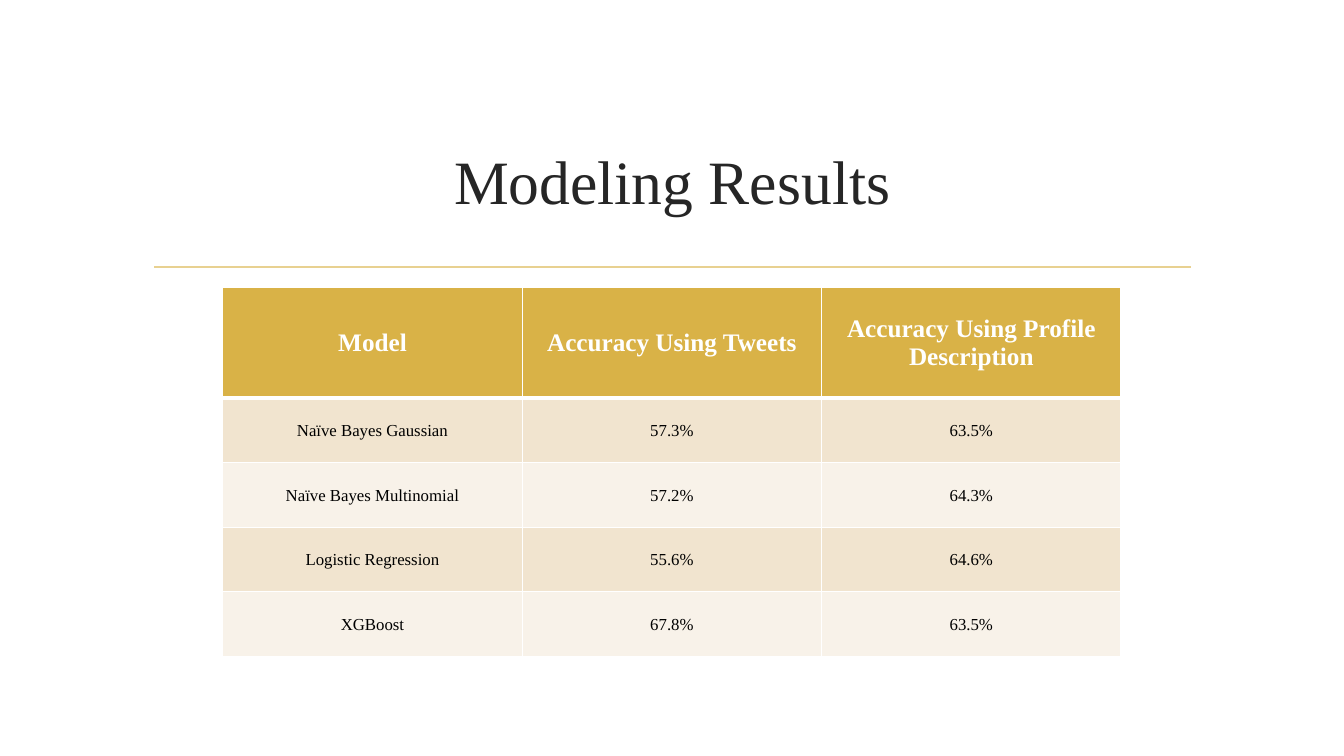
from lxml import etree
from pptx import Presentation
from pptx import util as u
from pptx.dml.color import RGBColor
from pptx.enum import shapes, text
from pptx.oxml.ns import qn

WIDTH, HEIGHT = u.Inches(13.33), u.Inches(7.5)
FONT = "Times New Roman"
WHITE = RGBColor(0xFF, 0xFF, 0xFF)
BLACK = RGBColor(0, 0, 0)
CHARCOAL = RGBColor(0x26, 0x26, 0x26)
GOLD = RGBColor(0xD9, 0xB2, 0x47)
RULE_GOLD = RGBColor(0xE8, 0xD1, 0x91)
BANDS = (RGBColor(0xF1, 0xE4, 0xCF), RGBColor(0xF8, 0xF2, 0xE9))

COL_WIDTH, HEADER_HEIGHT, ROW_HEIGHT = u.Inches(2.97), u.Inches(1.1), u.Inches(0.64)
RESULTS = [
    ("Model", "Accuracy Using Tweets", "Accuracy Using Profile Description"),
    ("Naïve Bayes Gaussian", "57.3%", "63.5%"),
    ("Naïve Bayes Multinomial", "57.2%", "64.3%"),
    ("Logistic Regression", "55.6%", "64.6%"),
    ("XGBoost", "67.8%", "63.5%"),
]


def format_text(p, size, color, bold=False):
    """Centre a paragraph and format its runs."""
    p.alignment = text.PP_ALIGN.CENTER
    for r in p.runs:
        r.font.name, r.font.size, r.font.bold = FONT, u.Pt(size), bold
        r.font.color.rgb = color


def add_title(s, title):
    """Place and format the slide title."""
    sp = s.shapes.title
    sp.left, sp.top = u.Inches(1.42), u.Inches(1.07)
    sp.width, sp.height = u.Inches(10.5), u.Inches(1.43)
    tf = sp.text_frame
    tf.text = title
    tf.vertical_anchor = text.MSO_ANCHOR.MIDDLE
    format_text(tf.paragraphs[0], 44, CHARCOAL)


def add_rule(s, left, right, y):
    """Draw the thin gold line below the title."""
    line = s.shapes.add_connector(shapes.MSO_CONNECTOR.STRAIGHT, left, y, right, y)
    line.line.color.rgb = RULE_GOLD
    line.line.width = u.Pt(1.25)
    etree.SubElement(line._element.spPr, qn("a:effectLst"))


def set_borders(cell, top, bottom):
    """Give a cell white borders with the given top and bottom widths."""
    tcPr = cell._tc.get_or_add_tcPr()
    for side, width in (("L", 1), ("R", 1), ("T", top), ("B", bottom)):
        ln = etree.SubElement(tcPr, qn(f"a:ln{side}"), w=str(u.Pt(width)))
        fill = etree.SubElement(ln, qn("a:solidFill"))
        etree.SubElement(fill, qn("a:srgbClr"), val=str(WHITE))


def format_cell(cell, row):
    """Style a cell as header or banded body according to its row."""
    set_borders(cell, 3 if row == 1 else 1, 3 if row == 0 else 1)
    cell.vertical_anchor = text.MSO_ANCHOR.MIDDLE
    cell.fill.solid()
    p = cell.text_frame.paragraphs[0]
    if row == 0:
        cell.fill.fore_color.rgb = GOLD
        format_text(p, 18, WHITE, bold=True)
        return
    cell.fill.fore_color.rgb = BANDS[(row - 1) % 2]
    cell.margin_left = cell.margin_right = u.Inches(0.07)
    cell.margin_top = cell.margin_bottom = 0
    p.line_spacing = 1.07
    p.space_before = p.space_after = u.Pt(2)
    format_text(p, 12, BLACK)


def add_results_table(s, left, top, rows):
    """Add the table of model accuracies."""
    n_cols, n_body = len(rows[0]), len(rows) - 1
    table = s.shapes.add_table(len(rows), n_cols, left, top, COL_WIDTH * n_cols,
                               HEADER_HEIGHT + ROW_HEIGHT * n_body).table
    table.first_row = table.horz_banding = False
    for col in table.columns:
        col.width = COL_WIDTH
    for i, values in enumerate(rows):
        table.rows[i].height = ROW_HEIGHT if i else HEADER_HEIGHT
        for j, value in enumerate(values):
            cell = table.cell(i, j)
            cell.text = value
            format_cell(cell, i)


def main():
    """Build and save the modeling results slide."""
    prs = Presentation()
    prs.slide_width, prs.slide_height = WIDTH, HEIGHT
    s = prs.slides.add_slide(prs.slide_layouts[5])
    add_rule(s, u.Inches(1.53), u.Inches(11.81), u.Inches(2.65))
    add_results_table(s, u.Inches(2.21), u.Inches(2.85), RESULTS)
    add_title(s, "Modeling Results")
    prs.save("out.pptx")


if __name__ == "__main__":
    main()
